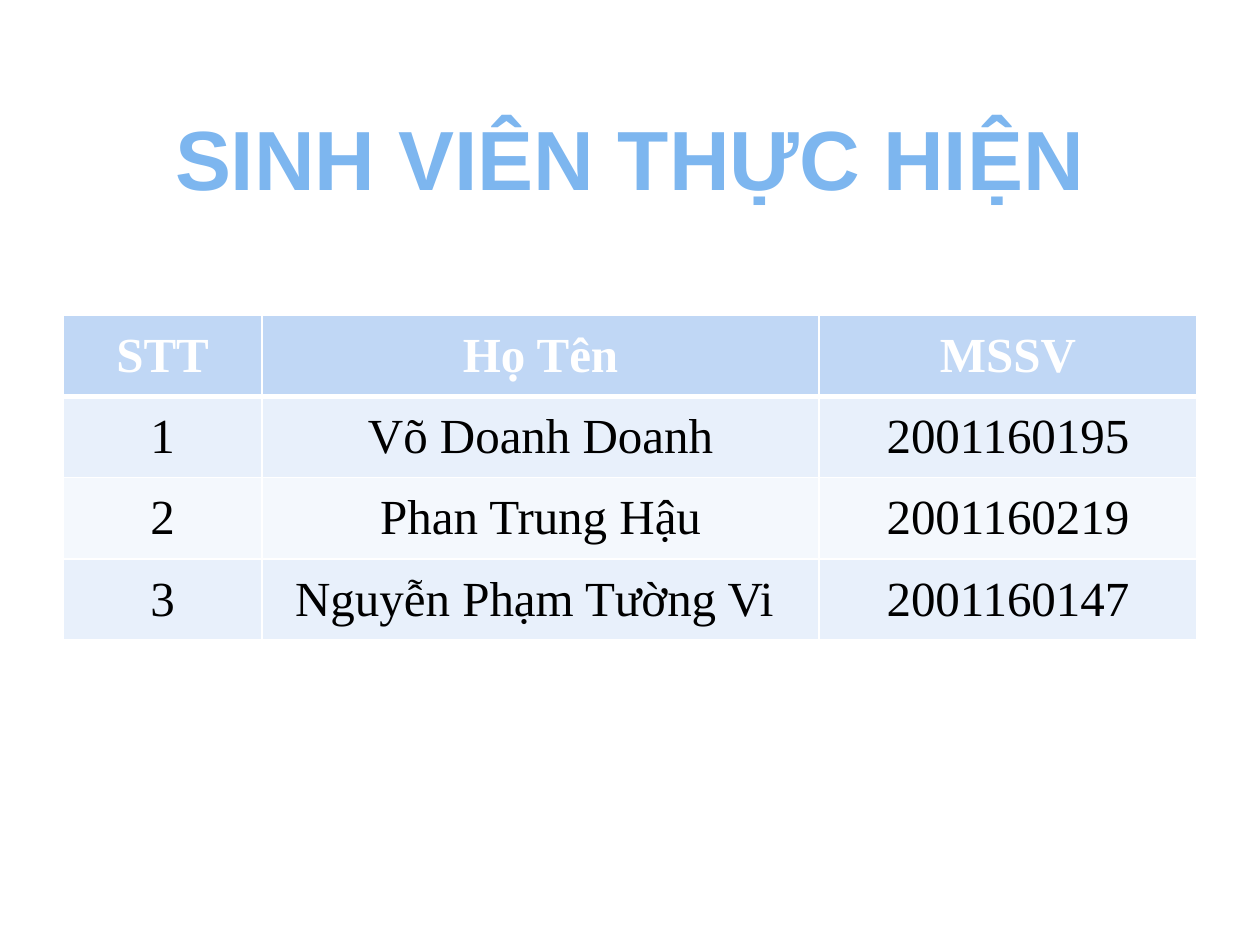
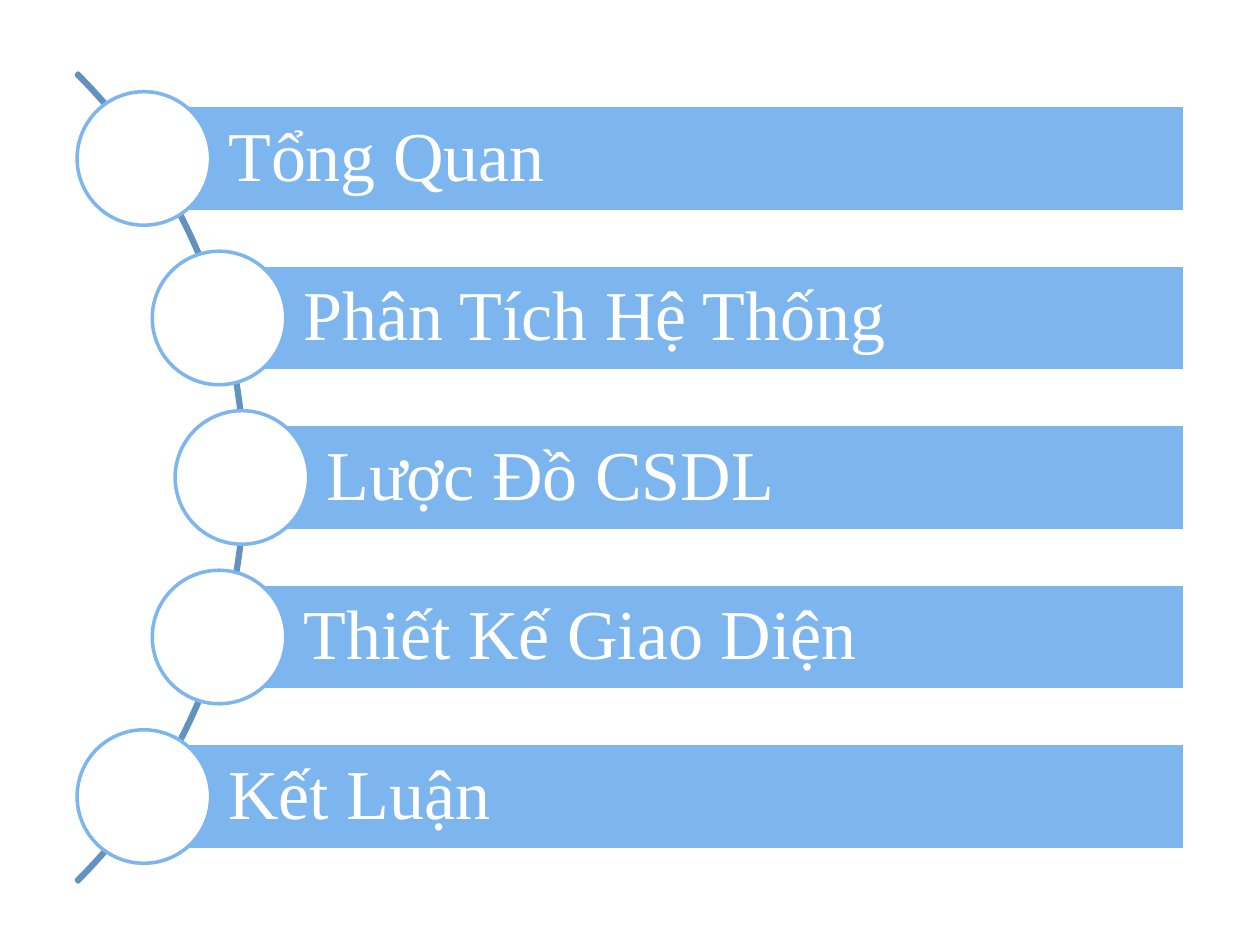
import math

from lxml import etree
from pptx import Presentation
from pptx import util as u
from pptx.dml.color import RGBColor
from pptx.enum import shapes, text
from pptx.oxml.ns import qn

COLORS = {
    "accent": "7DB6EF",
    "arc": "6492BF",
    "header": "C0D7F5",
    "odd": "E8F0FB",
    "even": "F4F8FD",
    "white": "FFFFFF",
    "black": "000000",
}
COLUMNS, ROWS = 100, 75
SERIF = "Times New Roman"
TITLE = {"name": "Arial", "size": u.Pt(48), "bold": True, "color": "accent"}
HEADER = {"name": SERIF, "size": u.Pt(28), "bold": True, "color": "white"}
BODY = {**HEADER, "bold": False, "color": "black"}
TOPIC = {"name": SERIF, "size": u.Pt(40), "color": "white"}

STUDENTS = [
    ("STT", "Họ Tên", "MSSV"),
    ("1", "Võ Doanh Doanh", "2001160195"),
    ("2", "Phan Trung Hậu", "2001160219"),
    ("3", "Nguyễn Phạm Tường Vi ", "2001160147"),
]
TOPICS = ["Tổng Quan", "Phân Tích Hệ Thống", "Lược Đồ CSDL",
          "Thiết Kế Giao Diện", "Kết Luận"]


def rgb(name):
    return RGBColor.from_string(COLORS[name])


class Deck:
    def __init__(self):
        self.prs = Presentation()
        self.prs.slide_width, self.prs.slide_height = u.Inches(10), u.Inches(7.5)
        self.s = None

    def slide(self):
        self.s = self.prs.slides.add_slide(self.prs.slide_layouts[6])

    def x(self, columns):
        return round(self.prs.slide_width * columns / COLUMNS)

    def y(self, rows):
        return round(self.prs.slide_height * rows / ROWS)

    def box(self, left, top, width, height):
        return self.x(left), self.y(top), self.x(width), self.y(height)

    def label(self, tf, content, style, align):
        tf.word_wrap = True
        tf.vertical_anchor = text.MSO_ANCHOR.MIDDLE
        p = tf.paragraphs[0]
        p.alignment = align
        r = p.add_run()
        r.text = content
        for key, value in style.items():
            if key == "color":
                r.font.color.rgb = rgb(value)
            else:
                setattr(r.font, key, value)
        return p

    def title(self, content, *place):
        sp = self.s.shapes.add_textbox(*self.box(*place))
        self.label(sp.text_frame, content, TITLE, text.PP_ALIGN.CENTER)

    def shape(self, kind, place, fill, line):
        sp = self.s.shapes.add_shape(kind, *self.box(*place))
        sp.shadow.inherit = False
        if fill:
            sp.fill.solid()
            sp.fill.fore_color.rgb = rgb(fill)
        else:
            sp.fill.background()
        sp.line.color.rgb = rgb(line)
        sp.line.width = u.Pt(2)
        return sp

    def arc(self, cx, cy, radius):
        place = cx - radius, cy - radius, 2 * radius, 2 * radius
        sp = self.shape(shapes.MSO_SHAPE.BLOCK_ARC, place, None, "arc")
        for i, value in enumerate((189, 27, 0.0024)):
            sp.adjustments[i] = value

    def bar(self, content, left, cy, right, height):
        place = left, cy - height / 2, right - left, height
        sp = self.shape(shapes.MSO_SHAPE.RECTANGLE, place, "accent", "white")
        tf = sp.text_frame
        margins = {"left": 6.7, "top": 1.1, "right": 1.1, "bottom": 1.1}
        for side, size in margins.items():
            setattr(tf, f"margin_{side}", self.x(size))
        p = self.label(tf, content, TOPIC, text.PP_ALIGN.LEFT)
        p.line_spacing = 0.9

    def circle(self, cx, cy, size):
        place = cx - size / 2, cy - size / 2, size, size
        self.shape(shapes.MSO_SHAPE.OVAL, place, "white", "accent")

    def borders(self, cell, widths):
        tc_pr = cell._tc.get_or_add_tcPr()
        for side, width in widths.items():
            ln = etree.SubElement(tc_pr, qn(f"a:ln{side}"), w=str(u.Pt(width)))
            fill = etree.SubElement(ln, qn("a:solidFill"))
            etree.SubElement(fill, qn("a:srgbClr"), val=COLORS["white"])

    def table(self, data, left, top, widths, row_height):
        place = left, top, sum(widths), row_height * len(data)
        frame = self.s.shapes.add_table(len(data), len(widths), *self.box(*place))
        table = frame.table
        for column, width in zip(table.columns, widths):
            column.width = self.x(width)
        for i, values in enumerate(data):
            table.rows[i].height = self.y(row_height)
            fill = "header" if i == 0 else "odd" if i % 2 else "even"
            edges = {"L": 1, "R": 1, "T": 3 if i == 1 else 1, "B": 3 if i == 0 else 1}
            for j, value in enumerate(values):
                cell = table.cell(i, j)
                self.borders(cell, edges)
                cell.fill.solid()
                cell.fill.fore_color.rgb = rgb(fill)
                cell.vertical_anchor = text.MSO_ANCHOR.MIDDLE
                self.label(cell.text_frame, value, BODY if i else HEADER,
                           text.PP_ALIGN.CENTER)


def students_slide(deck):
    deck.slide()
    deck.title("SINH VIÊN THỰC HIỆN", 5, 6.2, 90, 12.5)
    deck.table(STUDENTS, 5, 25, (15.8, 44.2, 30), 6.45)


def topics_slide(deck):
    deck.slide()
    cx, cy, radius, step = -25.9, 37.9, 45.1, 12.66
    deck.arc(cx, cy, 45.4)
    for i, topic in enumerate(TOPICS):
        offset = (i - (len(TOPICS) - 1) / 2) * step
        x = cx + math.sqrt(radius ** 2 - offset ** 2)
        deck.bar(topic, x, cy + offset, 94, 8.4)
        deck.circle(x, cy + offset, 10.6)


def main():
    deck = Deck()
    students_slide(deck)
    topics_slide(deck)
    deck.prs.save("out.pptx")


if __name__ == "__main__":
    main()
